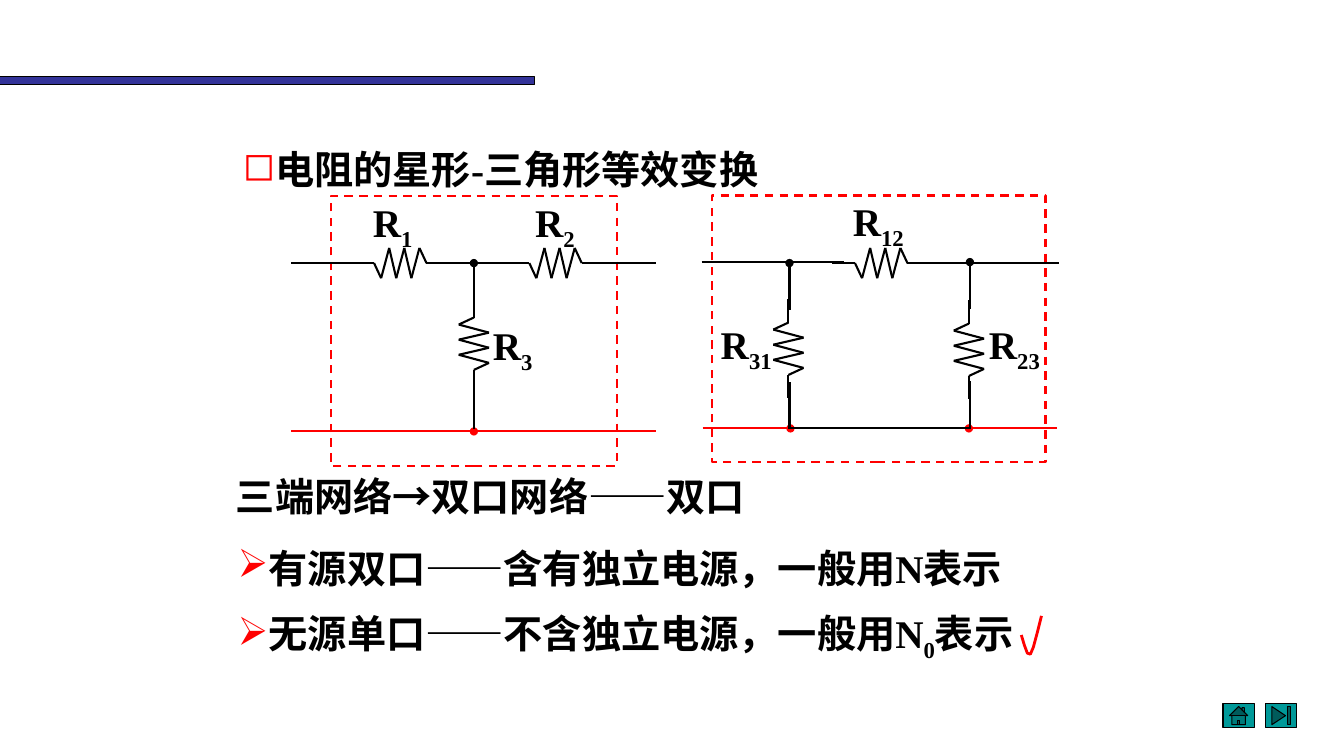
from dataclasses import dataclass
from itertools import pairwise

from lxml import etree
from pptx import Presentation
from pptx.dml.color import RGBColor
from pptx.enum.dml import MSO_LINE
from pptx.enum.lang import MSO_LANGUAGE_ID
from pptx.enum.shapes import MSO_CONNECTOR, MSO_SHAPE
from pptx.enum.text import MSO_ANCHOR, MSO_AUTO_SIZE, PP_ALIGN
from pptx.oxml.ns import qn
from pptx.util import Emu, Pt

EMU_PER_PX = 9144  # 100 px to the inch
FONT = "Times New Roman"
BULLET_FONT = "OpenSymbol"
COLORS = {"black": "000000", "red": "FF0000", "bar": "333399", "button": "009999"}
RECTANGLE = MSO_SHAPE.RECTANGLE
HOME_BUTTON = MSO_SHAPE.ACTION_BUTTON_HOME
END_BUTTON = MSO_SHAPE.ACTION_BUTTON_END
STRAIGHT = MSO_CONNECTOR.STRAIGHT
DASH = MSO_LINE.DASH
CHINESE = MSO_LANGUAGE_ID.SIMPLIFIED_CHINESE
FIT_SHAPE = MSO_AUTO_SIZE.SHAPE_TO_FIT_TEXT
TOP, LEFT = MSO_ANCHOR.TOP, PP_ALIGN.LEFT


@dataclass(frozen=True)
class Box:
    left: int
    top: int
    width: int
    height: int
    kind: int = RECTANGLE
    fill: str = ""
    line: str = "black"
    weight: float = 0.75
    dashed: bool = False


@dataclass(frozen=True)
class Wire:
    x1: int
    y1: int
    x2: int
    y2: int
    color: str = "black"
    dot: str = ""  # "headEnd" or "tailEnd"


@dataclass(frozen=True)
class Resistor:
    x: int
    y: int
    label: str
    label_left: int
    label_top: int
    label_width: int
    vertical: bool = False


BOXES = [
    Box(0, 76, 530, 8, fill="bar"),
    Box(1213, 698, 31, 24, kind=HOME_BUTTON, fill="button"),
    Box(1255, 698, 31, 24, kind=END_BUTTON, fill="button"),
    Box(328, 194, 284, 268, line="red", weight=1.5, dashed=True),
    Box(706, 194, 331, 264, line="red", weight=1.5, dashed=True),
]

WIRES = [
    # Star network
    Wire(289, 428, 470, 428, "red", "tailEnd"),
    Wire(470, 428, 651, 428, "red"),
    Wire(289, 261, 352, 261),
    Wire(423, 261, 517, 261),
    Wire(588, 261, 651, 261),
    Wire(470, 261, 470, 308, dot="headEnd"),
    Wire(470, 379, 470, 426),
    # Triangle network
    Wire(697, 425, 784, 425, "red", "tailEnd"),
    Wire(961, 425, 1048, 425, "red", "headEnd"),
    Wire(782, 425, 963, 425),
    Wire(696, 260, 837, 260),
    Wire(908, 261, 1050, 261),
    Wire(783, 261, 783, 308, dot="headEnd"),
    Wire(783, 379, 783, 426),
    Wire(962, 260, 962, 307, dot="headEnd"),
    Wire(962, 378, 962, 425),
]

RESISTORS = [
    Resistor(371, 261, "R|1", 360, 192, 61),
    Resistor(525, 261, "R|2", 521, 192, 61),
    Resistor(470, 315, "R|3", 479, 314, 61, vertical=True),
    Resistor(848, 261, "R|12", 836, 191, 75),
    Resistor(782, 320, "R|31", 705, 313, 75, vertical=True),
    Resistor(961, 321, "R|23", 971, 313, 75, vertical=True),
]
# Lead, seven zigzag strokes, lead
ZIGZAG_ALONG = [-23, 0, 7, 15, 22, 30, 37, 45, 52, 75]
ZIGZAG_ACROSS = [0, 0, 15, -15, 15, -15, 15, -15, 0, 0]
CHECK_MARK = [(1013, 630), (1016, 640), (1019, 648), (1022, 649),
              (1025, 642), (1029, 627), (1033, 611)]


def px(value: int) -> Emu:
    return Emu(value * EMU_PER_PX)


def rgb(name: str) -> RGBColor:
    return RGBColor.from_string(COLORS[name])


def add_bullet(paragraph, character: str) -> None:
    properties = paragraph._p.get_or_add_pPr()
    properties.set("marL", "0")
    properties.set("indent", "0")
    color = etree.SubElement(properties, qn("a:buClr"))
    etree.SubElement(color, qn("a:srgbClr"), val=COLORS["red"])
    etree.SubElement(properties, qn("a:buFont"), typeface=BULLET_FONT)
    etree.SubElement(properties, qn("a:buChar"), char=character)


def write_text(shape, text: str, *, bullet: str = "", wrap: bool = True,
               margin: tuple[int, int] = (10, 5), space_after: int = 0) -> None:
    """Each line is a paragraph; every second part between bars is a subscript."""
    frame = shape.text_frame
    frame.word_wrap = wrap
    frame.auto_size = FIT_SHAPE
    frame.vertical_anchor = TOP
    frame.margin_left = frame.margin_right = px(margin[0])
    frame.margin_top = frame.margin_bottom = px(margin[1])
    for index, line in enumerate(text.split("\n")):
        paragraph = frame.add_paragraph() if index else frame.paragraphs[0]
        paragraph.alignment = LEFT
        paragraph.space_after = Pt(space_after)
        if bullet:
            add_bullet(paragraph, bullet)
        for part_index, part in enumerate(line.split("|")):
            run = paragraph.add_run()
            run.text = part
            run.font.size = Pt(28)
            run.font.bold = True
            run.font.name = FONT
            run.font.color.rgb = rgb("black")
            run.font.language_id = CHINESE
            if part_index % 2:
                run._r.get_or_add_rPr().set("baseline", "-25000")


def add_text(slide, left: int, top: int, width: int, height: int, text: str, **style) -> None:
    shape = slide.shapes.add_textbox(px(left), px(top), px(width), px(height))
    write_text(shape, text, **style)


def add_box(slide, box: Box) -> None:
    shape = slide.shapes.add_shape(
        box.kind, px(box.left), px(box.top), px(box.width), px(box.height))
    shape.shadow.inherit = False
    if box.fill:
        shape.fill.solid()
        shape.fill.fore_color.rgb = rgb(box.fill)
    else:
        shape.fill.background()
    shape.line.color.rgb = rgb(box.line)
    shape.line.width = Pt(box.weight)
    if box.dashed:
        shape.line.dash_style = DASH


def add_wire(slide, wire: Wire) -> None:
    connector = slide.shapes.add_connector(
        STRAIGHT, px(wire.x1), px(wire.y1), px(wire.x2), px(wire.y2))
    connector.line.color.rgb = rgb(wire.color)
    connector.line.width = Pt(1.5)
    if wire.dot:
        line = connector.line._get_or_add_ln()
        etree.SubElement(line, qn(f"a:{wire.dot}"), type="oval")
    etree.SubElement(connector._element.spPr, qn("a:effectLst"))


def add_check_mark(slide) -> None:
    builder = slide.shapes.build_freeform(*CHECK_MARK[0], scale=EMU_PER_PX)
    builder.add_line_segments(CHECK_MARK[1:], close=False)
    shape = builder.convert_to_shape()
    shape.shadow.inherit = False
    shape.fill.background()
    shape.line.color.rgb = rgb("red")
    shape.line.width = Pt(2)


def add_resistor(slide, resistor: Resistor) -> None:
    x, y = resistor.x, resistor.y
    steps = zip(ZIGZAG_ALONG, ZIGZAG_ACROSS)
    if resistor.vertical:
        points = [(x - across, y + along) for along, across in steps]
    else:
        points = [(x + along, y + across) for along, across in steps]
    for start, end in pairwise(points):
        add_wire(slide, Wire(*start, *end))
    add_text(slide, resistor.label_left, resistor.label_top, resistor.label_width, 57,
             resistor.label, wrap=False)


def main() -> None:
    presentation = Presentation()
    presentation.slide_width, presentation.slide_height = px(1333), px(750)
    slide = presentation.slides.add_slide(presentation.slide_layouts[5])

    # Title
    title = slide.shapes.title
    title.left, title.top, title.width, title.height = px(231), px(139), px(857), px(57)
    write_text(title, "电阻的星形-三角形等效变换", bullet="◻")

    # Bar, buttons and network frames
    for box in BOXES:
        add_box(slide, box)

    # Explanation
    add_text(slide, 234, 469, 654, 47, "三端网络→双口网络——双口", margin=(0, 0))
    add_text(slide, 226, 535, 857, 127,
             "有源双口——含有独立电源，一般用N表示\n无源单口——不含独立电源，一般用N|0|表示",
             bullet="➢", space_after=13)
    add_check_mark(slide)

    # Circuits
    for wire in WIRES:
        add_wire(slide, wire)
    for resistor in RESISTORS:
        add_resistor(slide, resistor)

    presentation.save("out.pptx")


if __name__ == "__main__":
    main()
